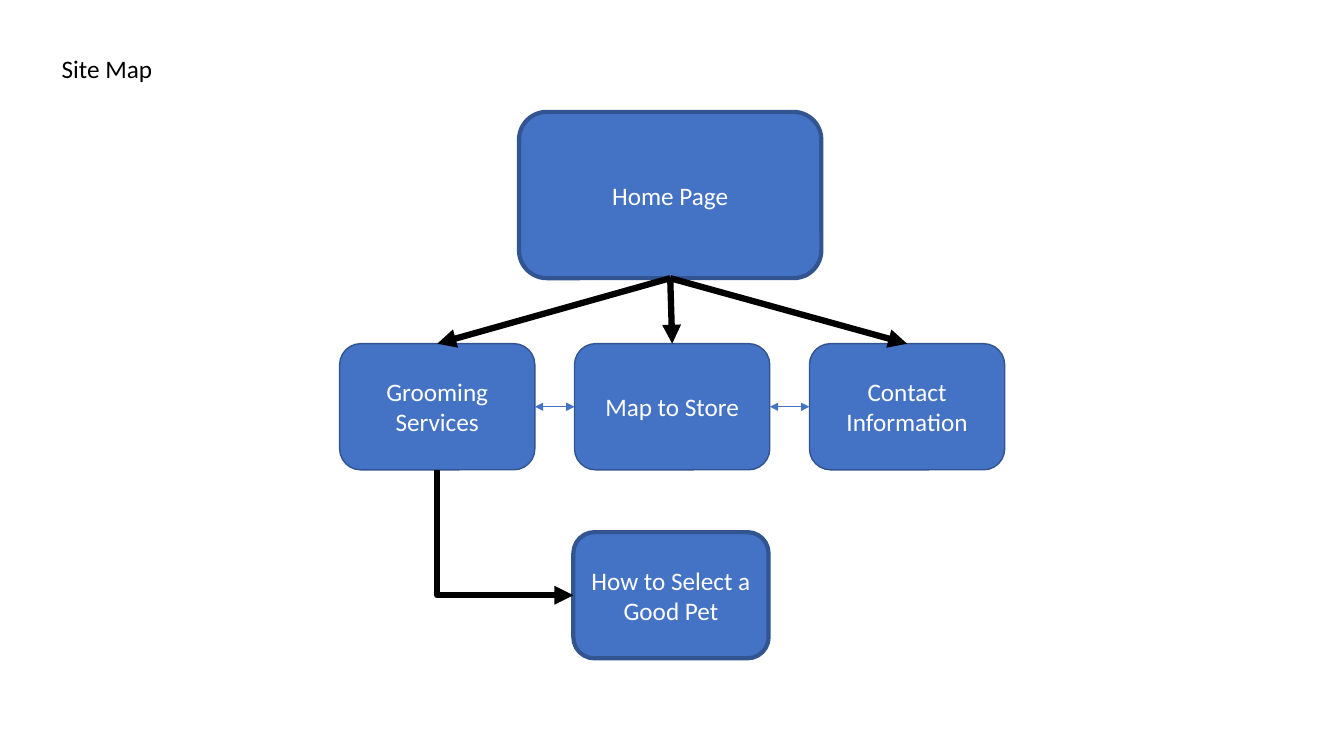
from lxml.etree import SubElement
from pptx import Presentation
from pptx.dml.color import RGBColor
from pptx.enum.shapes import MSO_CONNECTOR, MSO_SHAPE
from pptx.enum.text import MSO_ANCHOR, MSO_AUTO_SIZE, PP_ALIGN
from pptx.oxml.ns import qn
from pptx.util import Cm, Pt

COLORS = {"fill": "4472C4", "border": "325491", "arrow": "000000", "title": "000000", "label": "FFFFFF"}
TOP, LEFT, BOTTOM, RIGHT = range(4)


def write_text(shape, text, color, align):
    frame = shape.text_frame
    frame.vertical_anchor = MSO_ANCHOR.MIDDLE
    para = frame.paragraphs[0]
    para.alignment = align
    span = para.add_run()
    span.text = text
    for name, value in {"name": "Calibri", "size": Pt(18), "bold": False}.items():
        setattr(span.font, name, value)
    span.font.color.rgb = RGBColor.from_string(COLORS[color])


def add_arrow(kind, start, start_site, end, end_site, color, weight, ends):
    arrow = page.shapes.add_connector(kind, 0, 0, 0, 0)
    arrow.begin_connect(start, start_site)
    arrow.end_connect(end, end_site)
    arrow.line.color.rgb = RGBColor.from_string(COLORS[color])
    arrow.line.width = Pt(weight)
    properties = arrow._element.spPr
    for tag in ends:
        SubElement(properties.find(qn("a:ln")), qn(tag), type="triangle")
    SubElement(properties, qn("a:effectLst"))
    return arrow


deck = Presentation()
deck.slide_width, deck.slide_height = Cm(33.87), Cm(19.05)
page = deck.slides.add_slide(deck.slide_layouts[5])

title = page.shapes.title
for name, value in {"left": 1.3, "top": 1.22, "width": 2.82, "height": 1.02}.items():
    setattr(title, name, Cm(value))
title.text_frame.word_wrap = False
title.text_frame.auto_size = MSO_AUTO_SIZE.NONE
write_text(title, "Site Map", "title", PP_ALIGN.LEFT)

row_left, row_step, row_top = 8.56, 5.92, 8.66
box_width, box_height = 4.92, 3.18
site_pages = [("Home Page", 13.08, 2.82, 7.62, 4.19, 3)]
for index, label in enumerate(["Grooming Services", "Map to Store", "Contact Information"]):
    site_pages.append((label, row_left + index * row_step, row_top, box_width, box_height, 1))
site_pages.append(("How to Select a Good Pet", 14.45, 13.41, box_width, box_height, 3))

boxes = []
for label, left, top, width, height, border in site_pages:
    box = page.shapes.add_shape(MSO_SHAPE.ROUNDED_RECTANGLE, Cm(left), Cm(top), Cm(width), Cm(height))
    box.shadow.inherit = False
    box.fill.solid()
    box.fill.fore_color.rgb = RGBColor.from_string(COLORS["fill"])
    box.line.color.rgb = RGBColor.from_string(COLORS["border"])
    box.line.width = Pt(border)
    box.text_frame.word_wrap = True
    write_text(box, label, "label", PP_ALIGN.CENTER)
    boxes.append(box)

home, grooming, store, contact, pet = boxes
for target in (grooming, store, contact):
    add_arrow(MSO_CONNECTOR.STRAIGHT, home, BOTTOM, target, TOP, "arrow", 4.5, ["a:tailEnd"])
for first, second in ((store, contact), (grooming, store)):
    add_arrow(MSO_CONNECTOR.STRAIGHT, first, RIGHT, second, LEFT, "fill", 0.5, ["a:headEnd", "a:tailEnd"])

elbow = add_arrow(MSO_CONNECTOR.ELBOW, grooming, BOTTOM, pet, LEFT, "arrow", 4.5, ["a:tailEnd"])
run, drop = elbow.width, elbow.height
elbow.left += (run - drop) // 2
elbow.top += (drop - run) // 2
elbow.width, elbow.height = drop, run
elbow_properties = elbow._element.spPr
elbow_properties.find(qn("a:prstGeom")).set("prst", "bentConnector2")
for name, value in {"rot": "16200000", "flipH": "1"}.items():
    elbow_properties.find(qn("a:xfrm")).set(name, value)

deck.save("out.pptx")
